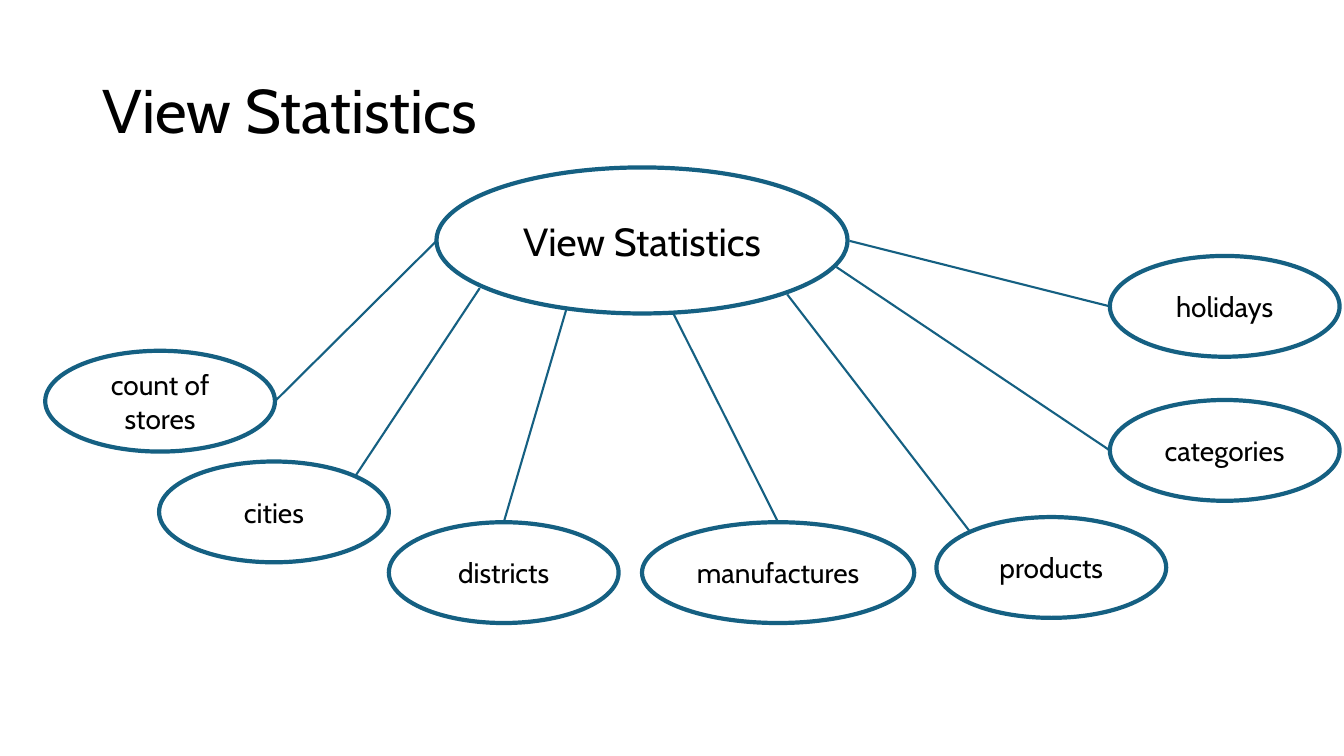
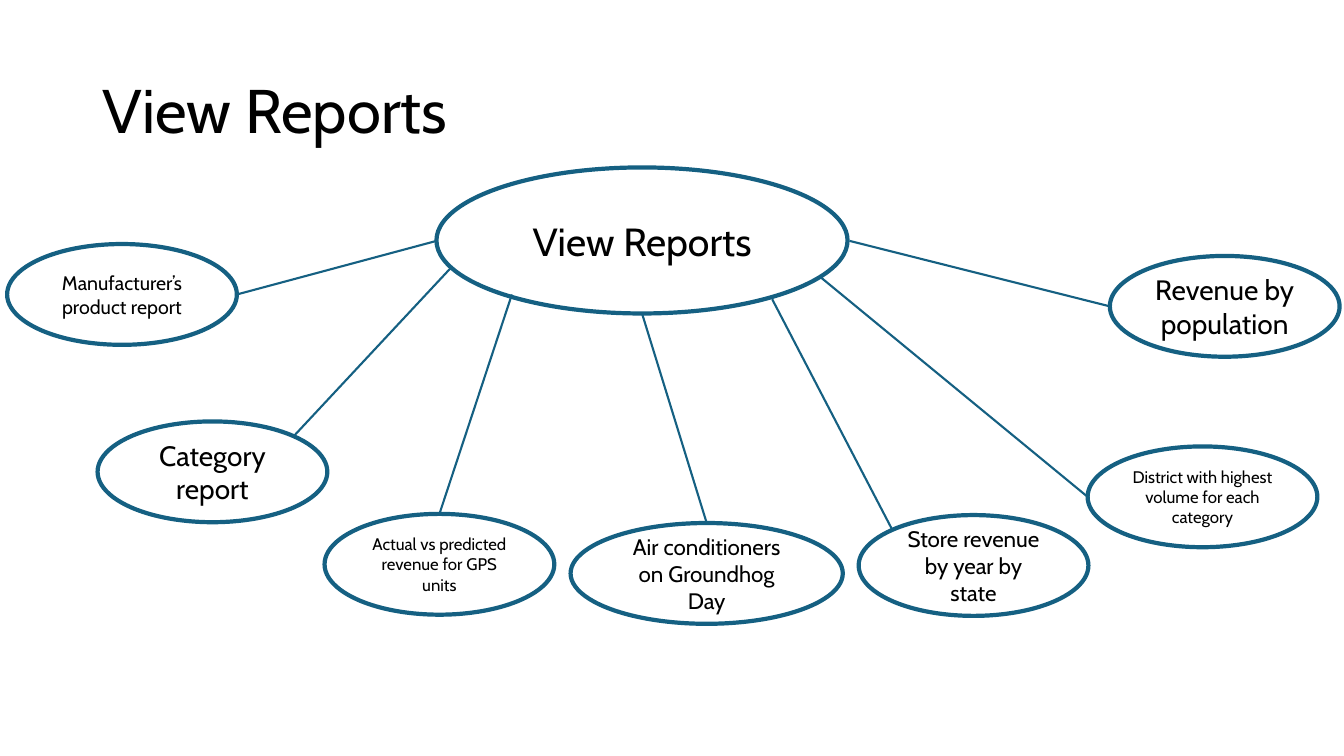
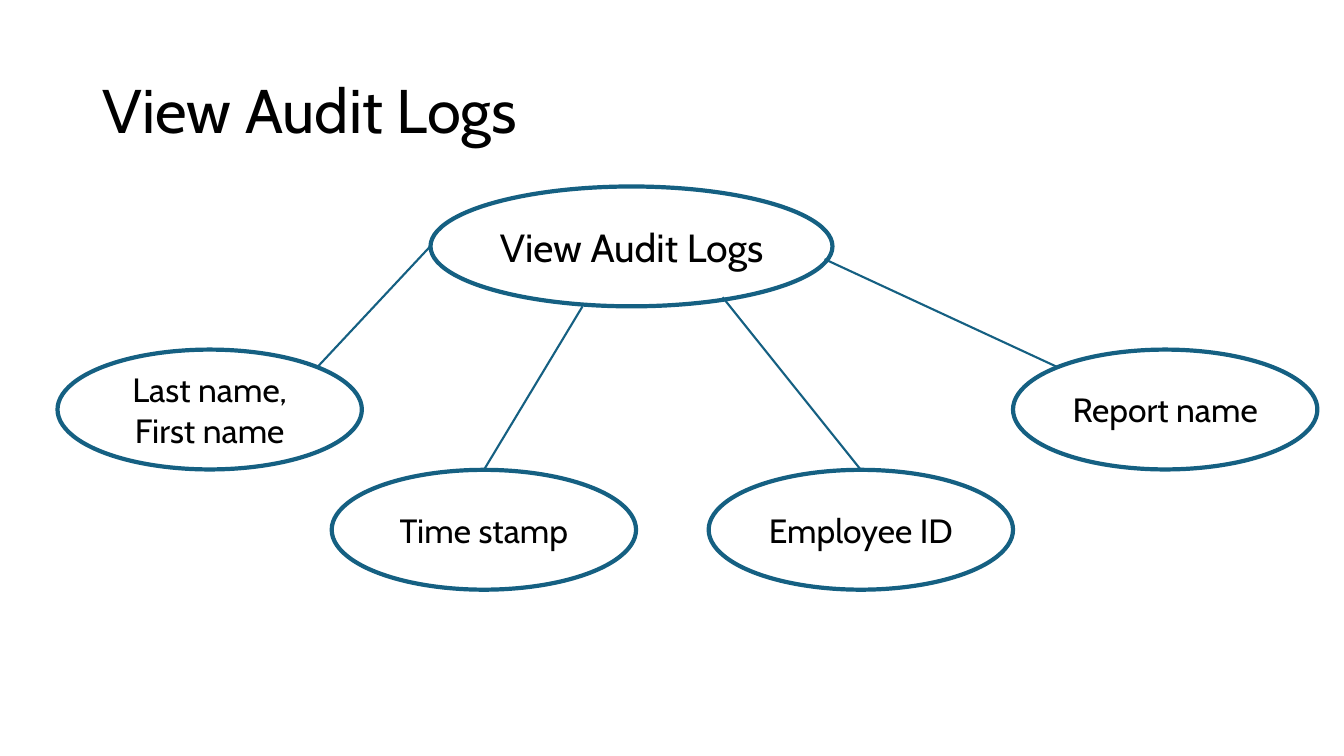
from math import sqrt

from lxml.etree import SubElement
from pptx import Presentation
from pptx.dml.color import RGBColor
from pptx.enum.shapes import MSO_CONNECTOR, MSO_SHAPE
from pptx.enum.text import MSO_ANCHOR, PP_ALIGN
from pptx.oxml.ns import qn
from pptx.util import Cm, Pt

# Shared look
BLUE = "156082"
BLACK = "000000"
TITLE_PLACE = (2.34, 1.02, 29.21, 3.68)
TITLE_FORMAT = {"alignment": PP_ALIGN.LEFT, "line_spacing": 0.9}
BUBBLE_FORMAT = {"alignment": PP_ALIGN.CENTER}
FRAME_FORMAT = {"word_wrap": True, "vertical_anchor": MSO_ANCHOR.MIDDLE}

# Where a line meets a leaf, as shares of its half width and half height
DIAGONAL = sqrt(0.5)
SITES = {
    "left": (-1, 0),
    "top left": (-DIAGONAL, -DIAGONAL),
    "top": (0, -1),
    "top right": (DIAGONAL, -DIAGONAL),
    "right": (1, 0),
}

# Leaves: text, text size, left, top, width, line site, line end at the hub
SMALL, WIDE, LARGE = 5.79, 6.86, 7.67
HUB_PLACE = (11, 4.22, 10.36, 3.68)
PAGES = [
    {
        "title": "View Statistics",
        "hub": HUB_PLACE,
        "leaf_height": 2.54,
        "leaves": [
            ("count of stores", 20, 1.14, 8.84, SMALL, "right", (11, 6.07)),
            ("cities", 20, 4.01, 11.63, SMALL, "top right", (12.09, 7.26)),
            ("districts", 20, 9.8, 13.16, SMALL, "top", (14.27, 7.8)),
            ("manufactures", 20, 16.18, 13.16, WIDE, "top", (16.97, 7.9)),
            ("products", 20, 23.6, 13.03, SMALL, "top left", (19.84, 7.42)),
            ("categories", 20, 27.97, 10.08, SMALL, "left", (21.08, 6.73)),
            ("holidays", 20, 27.97, 6.45, SMALL, "left", (21.41, 6.07)),
        ],
    },
    {
        "title": "View Reports",
        "hub": HUB_PLACE,
        "leaf_height": 2.54,
        "leaves": [
            ("Manufacturer’s product report", 14, 0.18, 6.15, SMALL, "right", (11, 6.07)),
            ("Category report", 20, 2.46, 10.62, SMALL, "top right", (11.38, 6.73)),
            ("Actual vs predicted revenue for GPS units", 12, 8.18, 12.95, SMALL, "top", (12.9, 7.42)),
            ("Air conditioners on Groundhog Day", 16, 14.38, 13.18, WIDE, "top", (16.18, 7.9)),
            ("Store revenue by year by state", 16, 21.64, 12.98, SMALL, "top left", (19.46, 7.54)),
            ("District with highest volume for each category", 12, 27.41, 11.25, SMALL, "left", (20.65, 6.96)),
            ("Revenue by population", 20, 27.97, 6.45, SMALL, "left", (21.41, 6.07)),
        ],
    },
    {
        "title": "View Audit Logs",
        "hub": (10.85, 4.7, 10.13, 3.02),
        "leaf_height": 3.02,
        "leaves": [
            ("Last name, First name", 24, 1.45, 8.81, LARGE, "top right", (10.85, 6.2)),
            ("Time stamp", 24, 8.36, 11.84, LARGE, "top", (14.68, 7.72)),
            ("Employee ID", 24, 17.86, 11.84, LARGE, "top", (18.21, 7.49)),
            ("Report name", 24, 25.53, 8.81, LARGE, "top left", (20.78, 6.53)),
        ],
    },
]


def paint(color, hex_value):
    color.rgb = RGBColor.from_string(hex_value)


def write(box, text, size, para_format):
    frame = box.text_frame
    for name, value in FRAME_FORMAT.items():
        setattr(frame, name, value)
    para = frame.paragraphs[0]
    for name, value in para_format.items():
        setattr(para, name, value)
    span = para.add_run()
    span.text = text
    for name, value in {"name": "Cabin", "size": Pt(size)}.items():
        setattr(span.font, name, value)
    paint(span.font.color, BLACK)


deck = Presentation()
deck.slide_width, deck.slide_height = Cm(33.87), Cm(19.05)

for content in PAGES:
    page = deck.slides.add_slide(deck.slide_layouts[6])

    # Title
    title = page.shapes.add_textbox(*map(Cm, TITLE_PLACE))
    write(title, content["title"], 44, TITLE_FORMAT)

    # Hub and leaves
    height = content["leaf_height"]
    bubbles = [(content["title"], 28, content["hub"])]
    for text, size, left, top, width, site, hub_end in content["leaves"]:
        bubbles.append((text, size, (left, top, width, height)))
    for text, size, place in bubbles:
        bubble = page.shapes.add_shape(MSO_SHAPE.OVAL, *map(Cm, place))
        bubble.shadow.inherit = False
        bubble.fill.background()
        bubble.line.width = Pt(3)
        paint(bubble.line.color, BLUE)
        write(bubble, text, size, BUBBLE_FORMAT)

    # Lines from the leaves to the hub
    for text, size, left, top, width, site, hub_end in content["leaves"]:
        across, down = SITES[site]
        leaf_end = (left + width / 2 * (1 + across), top + height / 2 * (1 + down))
        line = page.shapes.add_connector(
            MSO_CONNECTOR.STRAIGHT, *map(Cm, leaf_end + hub_end)
        )
        line.line.width = Pt(1.5)
        paint(line.line.color, BLUE)
        SubElement(line._element.spPr, qn("a:effectLst"))

deck.save("out.pptx")
